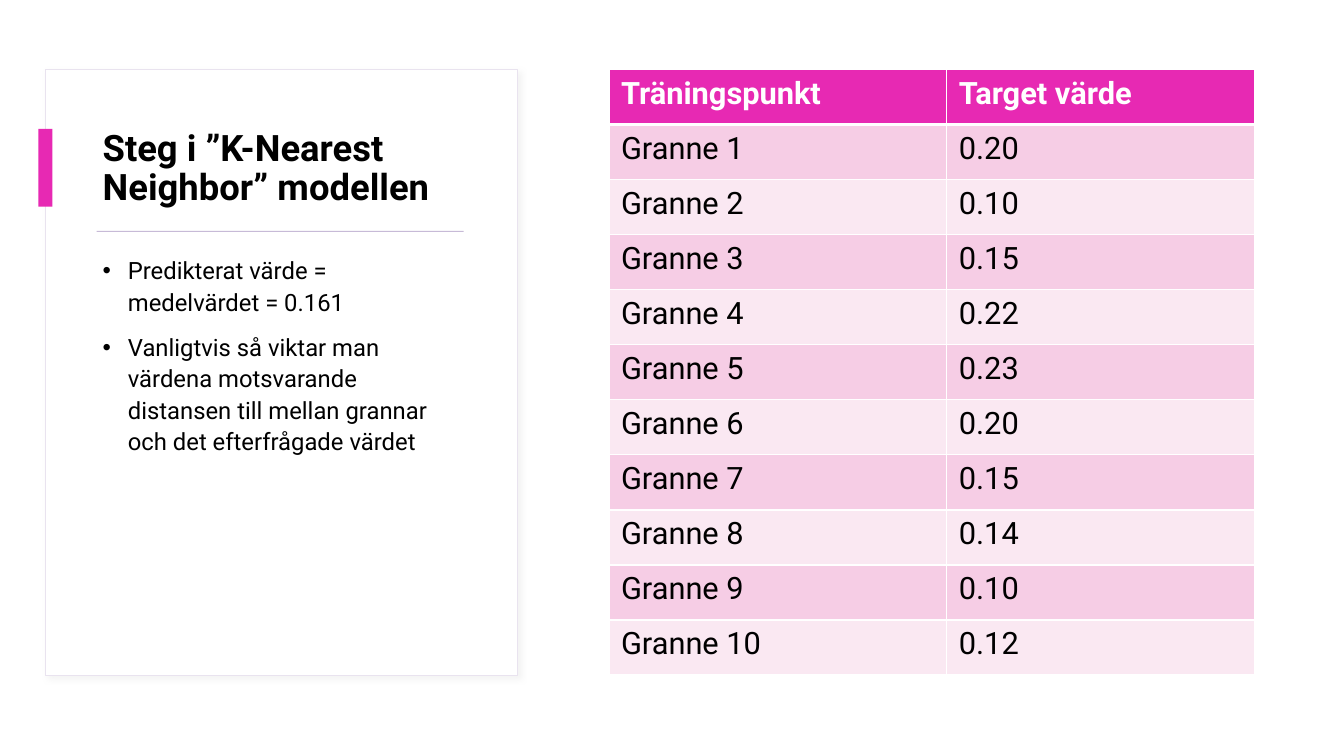
from lxml.etree import SubElement
from pptx import Presentation
from pptx.dml.color import RGBColor
from pptx.enum.shapes import MSO_SHAPE as SHAPE
from pptx.enum.text import MSO_ANCHOR as ANCHOR
from pptx.oxml.ns import qn
from pptx.util import Inches, Pt


def rgb(value):
    return RGBColor.from_string(value)


def add_color(parent, value):
    fill = SubElement(parent, qn("a:solidFill"))
    SubElement(fill, qn("a:srgbClr"), val=value)


class SlideBuilder:
    FONT = "Roboto"
    BLACK, WHITE = "000000", "FFFFFF"
    ACCENT, RULE, OUTLINE, SHADOW = "E729B3", "C7BAD7", "E9E3EF", "D9D9D9"
    BANDS = "F6CDE5", "FAE8F2"

    def __init__(self, prs):
        self.s = prs.slides.add_slide(prs.slide_layouts[6])

    def rect(self, x, y, w, h, fill, line=None, shadow=False):
        sp = self.s.shapes.add_shape(
            SHAPE.RECTANGLE, Inches(x), Inches(y), Inches(w), Inches(h))
        sp.fill.solid()
        sp.fill.fore_color.rgb = rgb(fill)
        if line:
            sp.line.color.rgb = rgb(line)
            sp.line.width = Pt(0.75)
        else:
            sp.line.fill.background()
        sp.shadow.inherit = False
        if shadow:
            effects = sp._element.spPr.find(qn("a:effectLst"))
            outer = SubElement(effects, qn("a:outerShdw"), blurRad=str(Pt(4)),
                               dist=str(Pt(3)), dir=str(45 * 60000), rotWithShape="0")
            color = SubElement(outer, qn("a:srgbClr"), val=self.SHADOW)
            SubElement(color, qn("a:alpha"), val="30000")

    def run(self, p, text, size, color=BLACK, bold=False):
        r = p.add_run()
        r.text = text
        r.font.name = self.FONT
        r.font.size = Pt(size)
        r.font.bold = bold
        r.font.color.rgb = rgb(color)

    def text(self, x, y, w, h, lines, size, spacing, bold=False,
             anchor=ANCHOR.TOP, bullets=False):
        box = self.s.shapes.add_textbox(Inches(x), Inches(y), Inches(w), Inches(h))
        tf = box.text_frame
        tf.word_wrap = True
        tf.vertical_anchor = anchor
        for i, line in enumerate(lines):
            p = tf.add_paragraph() if i else tf.paragraphs[0]
            p.line_spacing = spacing
            if bullets:
                p.space_before = Pt(10)
                pPr = p._p.get_or_add_pPr()
                pPr.set("marL", str(Inches(0.25)))
                pPr.set("indent", str(-Inches(0.25)))
                SubElement(pPr, qn("a:buFont"), typeface="Arial")
                SubElement(pPr, qn("a:buChar"), char="•")
            self.run(p, line, size, bold=bold)

    def cell(self, cell, text, fill, header, below_header):
        cell.margin_left = cell.margin_right = Inches(0.12)
        cell.margin_top = cell.margin_bottom = Inches(0.06)
        self.run(cell.text_frame.paragraphs[0], text, 22,
                 self.WHITE if header else self.BLACK, header)
        tcPr = cell._tc.get_or_add_tcPr()
        for side in "LRTB":
            thick = (header and side == "B") or (below_header and side == "T")
            ln = SubElement(tcPr, qn(f"a:ln{side}"), w=str(Pt(3 if thick else 1)))
            add_color(ln, self.WHITE)
        cell.fill.solid()
        cell.fill.fore_color.rgb = rgb(fill)

    def table(self, x, y, widths, row_height, rows):
        frame = self.s.shapes.add_table(
            len(rows), len(widths), Inches(x), Inches(y),
            Inches(sum(widths)), Inches(row_height * len(rows)))
        table = frame.table
        for column, width in zip(table.columns, widths):
            column.width = Inches(width)
        for i, values in enumerate(rows):
            table.rows[i].height = Inches(row_height)
            fill = self.BANDS[(i - 1) % 2] if i else self.ACCENT
            for j, value in enumerate(values):
                self.cell(table.cell(i, j), value, fill, i == 0, i == 1)


def main():
    prs = Presentation()
    prs.slide_width, prs.slide_height = Inches(13.33), Inches(7.5)
    b = SlideBuilder(prs)

    b.rect(0.45, 0.69, 4.68, 6.01, b.WHITE, b.OUTLINE, shadow=True)
    b.text(0.92, 1.07, 3.73, 1.21, ["Steg i ”K-Nearest Neighbor” modellen"],
           26, 0.9, bold=True, anchor=ANCHOR.MIDDLE)
    b.rect(0.38, 1.28, 0.14, 0.77, b.ACCENT)
    b.rect(0.96, 2.29, 3.64, 0.01, b.RULE)
    b.text(0.92, 2.46, 3.73, 3.89, [
        "Predikterat värde = medelvärdet = 0.161",
        "Vanligtvis så viktar man värdena motsvarande distansen till mellan "
        "grannar och det efterfrågade värdet",
    ], 17, 1.1, bullets=True)

    targets = [0.20, 0.10, 0.15, 0.22, 0.23, 0.20, 0.15, 0.14, 0.10, 0.12]
    rows = [("Träningspunkt", "Target värde")]
    rows += [(f"Granne {n}", f"{value:.2f}") for n, value in enumerate(targets, 1)]
    b.table(6.04, 0.69, (3.35, 3.05), 6.01 / len(rows), rows)

    prs.save("out.pptx")


if __name__ == "__main__":
    main()
